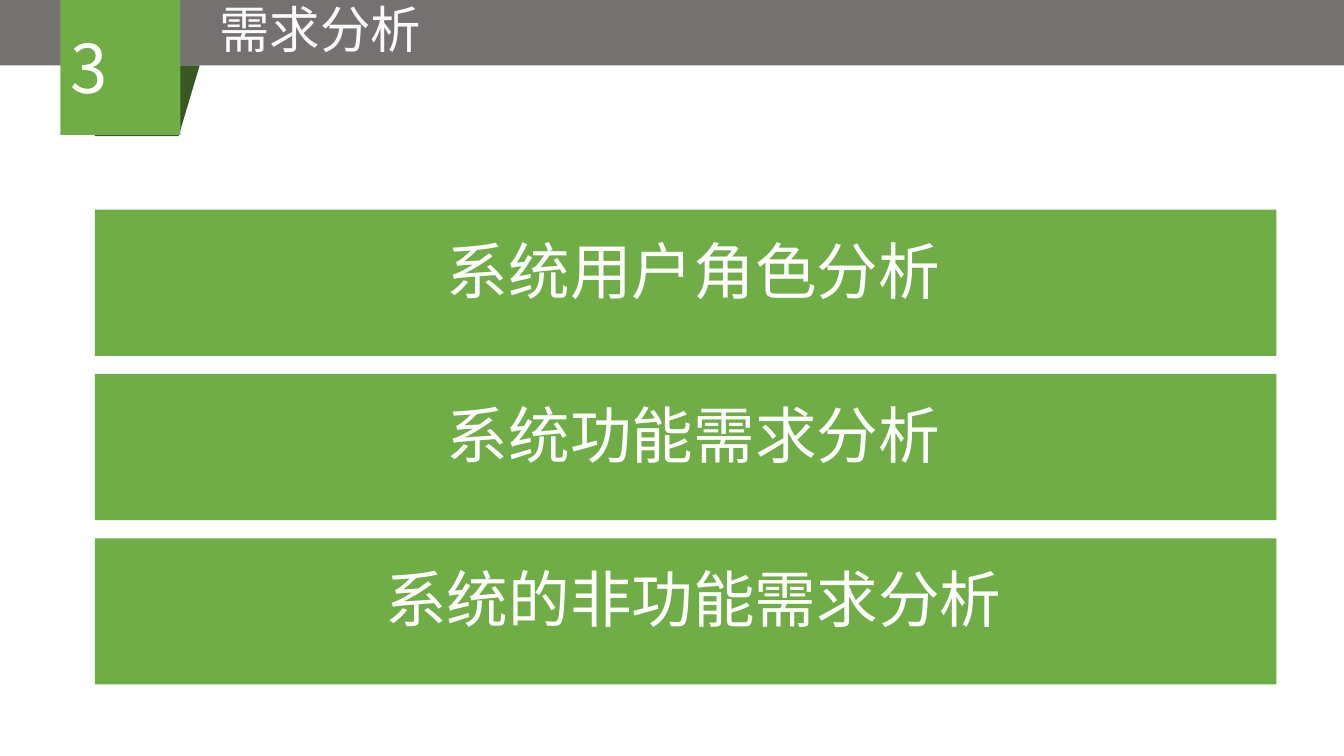
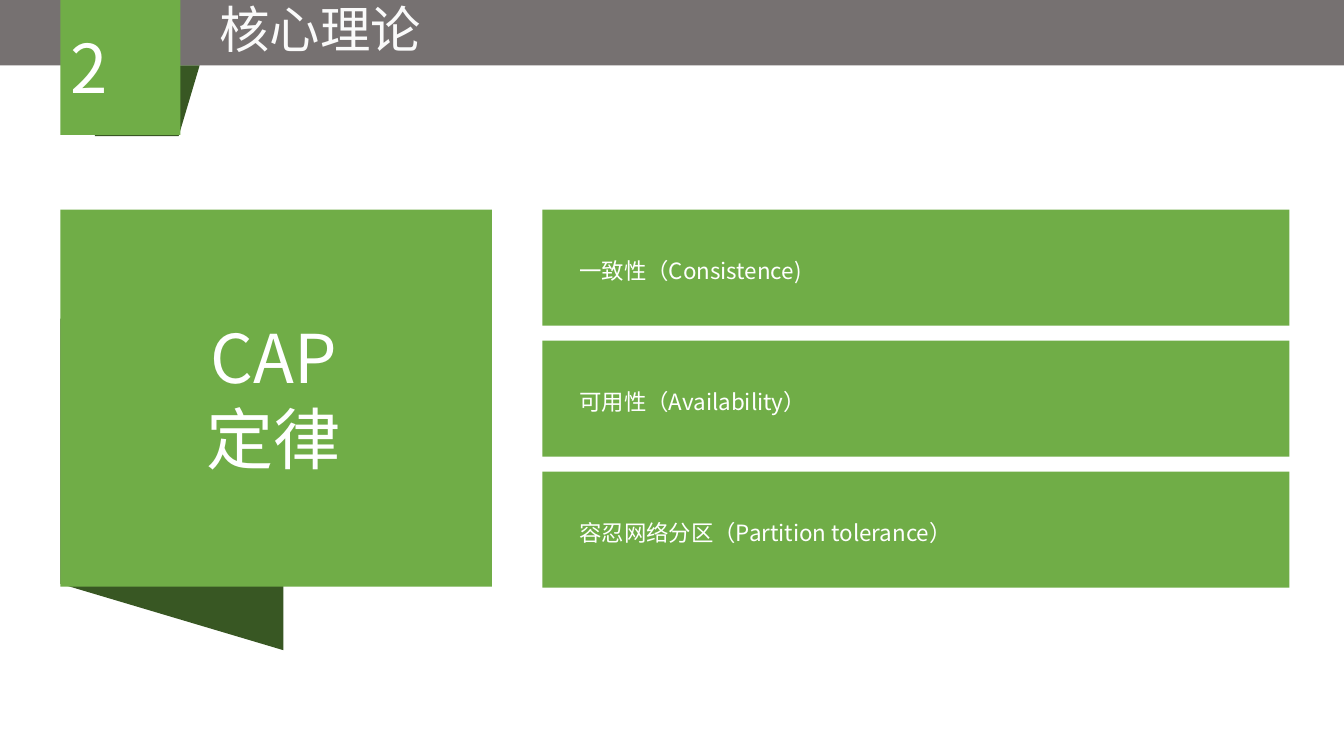
from lxml import etree
from pptx import Presentation
from pptx.dml.color import RGBColor
from pptx.enum import shapes, text
from pptx.oxml import ns
from pptx.util import Inches, Pt

GREEN, DARK_GREEN, GREY = "70AD47", "385723", "767171"
WHITE, OFF_WHITE = "FFFFFF", "FAFAFA"
SANS, ROUND = "Noto Sans CJK SC", "Quicksand"
RECT = shapes.MSO_SHAPE.RECTANGLE
FOLD = shapes.MSO_SHAPE.FLOWCHART_DATA
LEFT, CENTER = text.PP_ALIGN.LEFT, text.PP_ALIGN.CENTER


def add_block(slide, box, color, kind=RECT, rotation=0):
    block = slide.shapes.add_shape(kind, *map(Inches, box))
    block.rotation = rotation
    block.shadow.inherit = False
    block.fill.solid()
    block.fill.fore_color.rgb = RGBColor.from_string(color)
    block.line.fill.background()
    return block


def write(shape, lines, size, align=CENTER, font=SANS, color=WHITE,
          anchor=text.MSO_ANCHOR.TOP, fit=text.MSO_AUTO_SIZE.SHAPE_TO_FIT_TEXT):
    frame = shape.text_frame
    frame.text = lines
    for name, value in {"word_wrap": True, "auto_size": fit,
                        "vertical_anchor": anchor}.items():
        setattr(frame, name, value)
    for paragraph in frame.paragraphs:
        paragraph.alignment = align
        for run in paragraph.runs:
            run.font.size, run.font.name = Pt(size), font
            run.font.color.rgb = RGBColor.from_string(color)
            # East Asian typeface
            east_asian = etree.SubElement(run.font._element, ns.qn("a:ea"))
            east_asian.set("typeface", font)


prs = Presentation()
prs.slide_width, prs.slide_height = Inches(13.33), Inches(7.5)

pages = [
    {"number": "3", "title": "需求分析",
     "bars": (0.94, 11.72, 1.45, 1.63),  # left, width, height, pitch
     "labels": (1.5, 10.76, 0.84, 0.18),  # left, width, height, drop
     "style": {"size": 44, "font": ROUND},
     "topics": ["系统用户角色分析", "系统功能需求分析", "系统的非功能需求分析"]},
    {"number": "2", "title": "核心理论", "theorem": "CAP\n定律",
     "bars": (5.38, 7.41, 1.15, 1.3),
     "labels": (5.65, 7.14, 0.37, 0.42),
     "style": {"size": 16, "align": LEFT},
     "topics": ["一致性（Consistence)", "可用性（Availability）",
                "容忍网络分区（Partition tolerance）"]},
]
CONTENT_TOP = 2.08

for page in pages:
    slide = prs.slides.add_slide(prs.slide_layouts[6])

    # Header band with title and folded number tab
    add_block(slide, (0, -0.01, 13.33, 0.66), GREY)
    title = slide.shapes.add_textbox(*map(Inches, (1.47, -0.07, 3.41, 0.71)))
    write(title, page["title"], 36, color=OFF_WHITE)
    add_block(slide, (0.94, 0.65, 1.04, 0.7), DARK_GREEN, FOLD)
    tab = add_block(slide, (0.6, -0.02, 1.19, 1.36), GREEN)
    write(tab, page["number"], 48, LEFT, anchor=text.MSO_ANCHOR.MIDDLE,
          fit=text.MSO_AUTO_SIZE.NONE)

    # Theorem panel with its fold
    if "theorem" in page:
        add_block(slide, (0.06, 3.7, 3.29, 2.21), DARK_GREEN, FOLD, 270)
        add_block(slide, (0.6, CONTENT_TOP, 4.28, 3.74), GREEN)
        theorem = slide.shapes.add_textbox(*map(Inches, (-0.22, 3.09, 5.87, 1.72)))
        write(theorem, page["theorem"], 48)

    # Topic bars
    bar_left, bar_width, bar_height, pitch = page["bars"]
    label_left, label_width, label_height, drop = page["labels"]
    for row, topic in enumerate(page["topics"]):
        top = CONTENT_TOP + row * pitch
        add_block(slide, (bar_left, top, bar_width, bar_height), GREEN)
        label = slide.shapes.add_textbox(
            *map(Inches, (label_left, top + drop, label_width, label_height)))
        write(label, topic, **page["style"])

prs.save("out.pptx")
